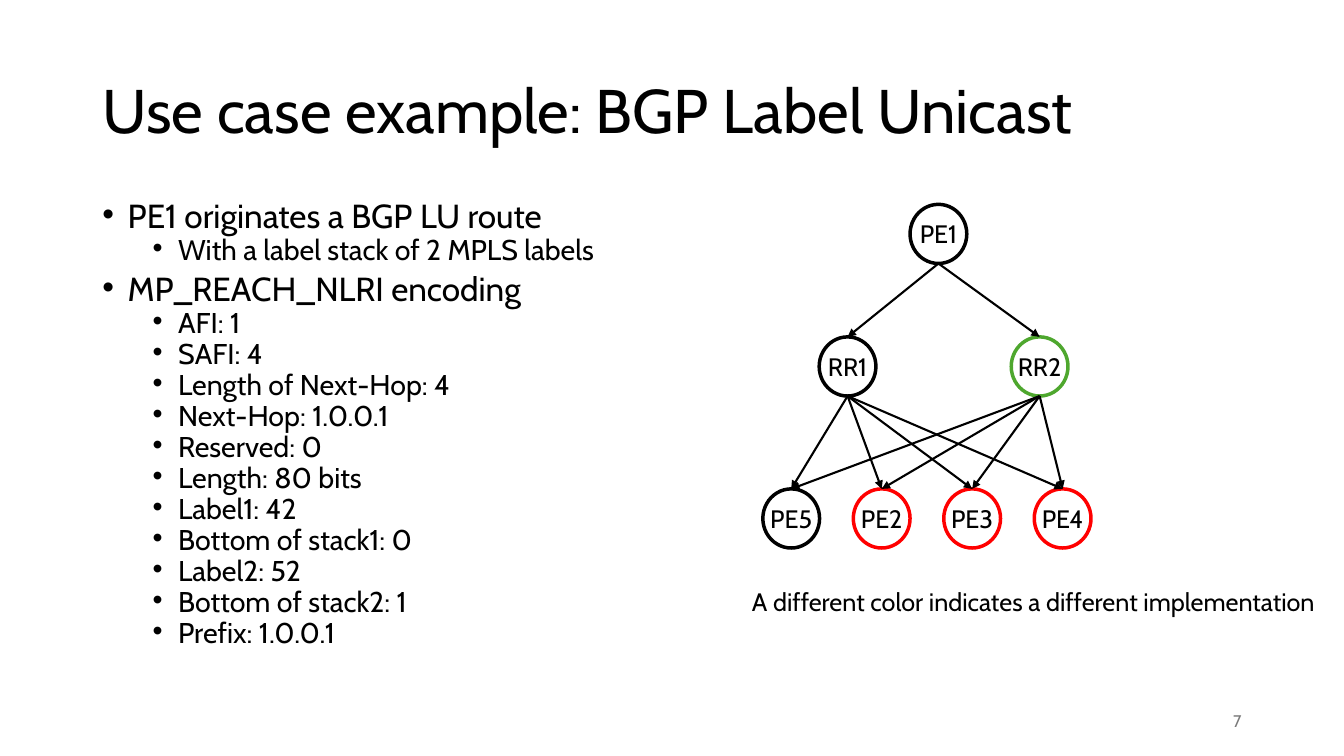
import pptx
import pptx.util
import pptx.dml.color
import pptx.enum.shapes
import pptx.enum.text
import pptx.oxml.ns
import lxml.etree

Cm = pptx.util.Cm
Pt = pptx.util.Pt
ALIGN = pptx.enum.text.PP_ALIGN
ANCHOR = pptx.enum.text.MSO_ANCHOR
qn = pptx.oxml.ns.qn


def color(value):
    return pptx.dml.color.RGBColor.from_string(value)


def write(para, text, size, ink="000000", align=ALIGN.LEFT):
    para.text = text
    para.alignment = align
    para.font.name = "Cabin"
    para.font.size = Pt(size)
    para.font.color.rgb = color(ink)


deck = pptx.Presentation()
deck.slide_width, deck.slide_height = Cm(33.87), Cm(19.05)
page = deck.slides.add_slide(deck.slide_layouts[6])

# Title
title = page.shapes.add_textbox(Cm(2.33), Cm(1.01), Cm(29.21), Cm(3.68)).text_frame
title.word_wrap = True
title.vertical_anchor = ANCHOR.MIDDLE
write(title.paragraphs[0], "Use case example: BGP Label Unicast", 44)
title.paragraphs[0].line_spacing = 0.9

# Router topology: name -> centre, top, outline
NODE_WIDTH, NODE_HEIGHT = 1.43, 1.49
nodes = {
    "PE1": (23.65, 5.15, "000000"),
    "RR1": (21.36, 8.49, "000000"),
    "RR2": (26.2, 8.49, "4EA72E"),
}
edge_routers = {"PE5": "000000", "PE2": "FF0000", "PE3": "FF0000", "PE4": "FF0000"}
for column, (name, outline) in enumerate(edge_routers.items()):
    nodes[name] = (19.94 + 2.28 * column, 12.32, outline)

for name, (center, top, outline) in nodes.items():
    node = page.shapes.add_shape(
        pptx.enum.shapes.MSO_SHAPE.OVAL,
        Cm(center - NODE_WIDTH / 2), Cm(top), Cm(NODE_WIDTH), Cm(NODE_HEIGHT))
    node.shadow.inherit = False
    node.fill.background()
    node.line.color.rgb = color(outline)
    node.line.width = Pt(2.5)
    frame = node.text_frame
    frame.margin_left = frame.margin_right = 0
    frame.margin_top = frame.margin_bottom = Cm(0.1)
    frame.word_wrap = False
    frame.vertical_anchor = ANCHOR.MIDDLE
    write(frame.paragraphs[0], name, 18, align=ALIGN.CENTER)

sessions = [("PE1", "RR1"), ("PE1", "RR2")]
sessions += [(reflector, router) for reflector in ("RR1", "RR2") for router in edge_routers]
for sender, receiver in sessions:
    start, sender_top, _ = nodes[sender]
    end, receiver_top, _ = nodes[receiver]
    arrow = page.shapes.add_connector(
        pptx.enum.shapes.MSO_CONNECTOR.STRAIGHT,
        Cm(start), Cm(sender_top + NODE_HEIGHT), Cm(end), Cm(receiver_top))
    arrow.line.color.rgb = color("000000")
    arrow.line.width = Pt(1.5)
    lxml.etree.SubElement(arrow.line._get_or_add_ln(), qn("a:tailEnd"), type="triangle")
    lxml.etree.SubElement(arrow._element.spPr, qn("a:effectLst"))

# Route encoding
outline_text = [
    ("PE1 originates a BGP LU route", ["With a label stack of 2 MPLS labels"]),
    ("MP_REACH_NLRI encoding", [
        "AFI: 1", "SAFI: 4", "Length of Next-Hop: 4", "Next-Hop: 1.0.0.1",
        "Reserved: 0", "Length: 80 bits", "Label1: 42", "Bottom of stack1: 0",
        "Label2: 52", "Bottom of stack2: 1", "Prefix: 1.0.0.1"]),
]
bullets = []
for heading, details in outline_text:
    bullets.append((0, heading))
    bullets += [(1, detail) for detail in details]

body = page.shapes.add_textbox(Cm(2.33), Cm(5.07), Cm(16.48), Cm(12.09)).text_frame
body.word_wrap = True
for index, (level, text) in enumerate(bullets):
    para = body.add_paragraph() if index else body.paragraphs[0]
    para.level = level
    para.line_spacing = 0.7
    para.space_before = Pt((10, 5)[level] if index else 0)
    properties = para._p.get_or_add_pPr()
    properties.set("marL", str(Cm((0.64, 1.91)[level])))
    properties.set("indent", str(Cm(-0.64)))
    lxml.etree.SubElement(properties, qn("a:buFont"), typeface="Arial")
    lxml.etree.SubElement(properties, qn("a:buChar"), char="•")
    write(para, text, (23.8, 20.4)[level])

# Caption and page number
caption = page.shapes.add_textbox(Cm(18.7), Cm(14.66), Cm(15.03), Cm(1.03)).text_frame
caption.word_wrap = False
caption.auto_size = pptx.enum.text.MSO_AUTO_SIZE.SHAPE_TO_FIT_TEXT
write(caption.paragraphs[0], "A different color indicates a different implementation", 18)

number = page.shapes.add_textbox(Cm(23.92), Cm(17.66), Cm(7.62), Cm(1.01)).text_frame
number.word_wrap = True
number.vertical_anchor = ANCHOR.MIDDLE
write(number.paragraphs[0], "7", 12, "797979", ALIGN.RIGHT)

deck.save("out.pptx")
